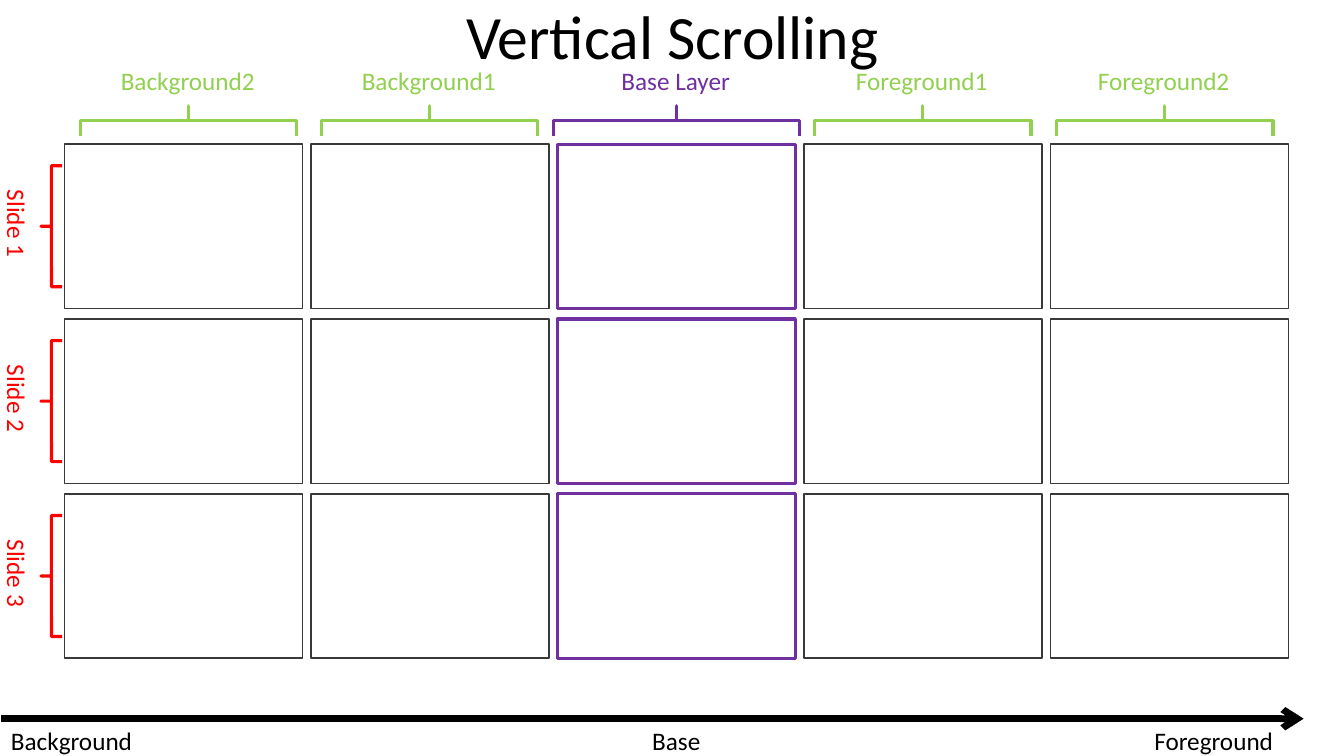
from dataclasses import dataclass

from lxml import etree
from pptx import Presentation
from pptx.dml.color import RGBColor
from pptx.enum import shapes, text
from pptx.oxml.ns import qn
from pptx.util import Inches, Pt

FONT = "Calibri"
BLACK, GREY, GREEN, PURPLE, RED = "000000", "3B3838", "92D050", "7030A0", "FF0000"

# Grid measures in inches
GRID_LEFT, GRID_TOP = 0.64, 1.43
CELL_WIDTH, CELL_HEIGHT = 2.36, 1.63
COLUMN_PITCH, ROW_PITCH = 2.445, 1.735
LABEL_HEIGHT = 0.4
ROW_COUNT = 3


@dataclass
class Layer:
    name: str
    label_center: float
    label_width: float
    brace_length: float = 2.15
    color: str = GREEN
    cell_color: str = GREY
    cell_line: float = 1


@dataclass
class AxisLabel:
    name: str
    left: float
    width: float


LAYERS = [
    Layer("Background2", 1.87, 1.54),
    Layer("Background1", 4.26, 1.54),
    Layer("Base Layer", 6.71, 1.29, 2.44, PURPLE, PURPLE, 2.25),
    Layer("Foreground1", 9.15, 1.52),
    Layer("Foreground2", 11.55, 1.52),
]
AXIS_LABELS = [
    AxisLabel("Background", 0.01, 1.42),
    AxisLabel("Base", 6.37, 0.68),
    AxisLabel("Foreground", 11.35, 1.39),
]

presentation = Presentation()
presentation.slide_width = Inches(13.33)
presentation.slide_height = Inches(7.5)
slide = presentation.slides.add_slide(presentation.slide_layouts[5])


def rgb(color: str) -> RGBColor:
    return RGBColor.from_string(color)


def add_run(paragraph, words: str, size: float, color: str) -> None:
    run = paragraph.add_run()
    run.text = words
    run.font.name = FONT
    run.font.size = Pt(size)
    run.font.color.rgb = rgb(color)


def add_outline(kind, left: float, top: float, width: float, height: float,
                color: str, line_width: float):
    shape = slide.shapes.add_shape(
        kind, Inches(left), Inches(top), Inches(width), Inches(height))
    shape.shadow.inherit = False
    shape.fill.background()
    shape.line.color.rgb = rgb(color)
    shape.line.width = Pt(line_width)
    return shape


def add_brace(center_x: float, center_y: float, depth: float, length: float,
              color: str, rotation: float = 0) -> None:
    brace = add_outline(shapes.MSO_SHAPE.LEFT_BRACE, center_x - depth / 2,
                        center_y - length / 2, depth, length, color, 2.25)
    brace.adjustments[0] = 0
    brace.adjustments[1] = 0.5
    brace.rotation = rotation


def add_label(words: str, left: float, top: float, width: float, color: str,
              rotation: float = 0) -> None:
    label = slide.shapes.add_textbox(
        Inches(left), Inches(top), Inches(width), Inches(LABEL_HEIGHT))
    label.rotation = rotation
    label.text_frame.word_wrap = rotation != 0
    add_run(label.text_frame.paragraphs[0], words, 18, color)


# Title
title = slide.shapes.title
title.left, title.top = Inches(0.92), Inches(-0.04)
title.width, title.height = Inches(11.5), Inches(0.87)
title.text_frame.vertical_anchor = text.MSO_ANCHOR.MIDDLE
heading = title.text_frame.paragraphs[0]
heading.alignment = text.PP_ALIGN.CENTER
heading.line_spacing = 0.9
add_run(heading, "Vertical Scrolling", 44, BLACK)

# Depth axis with arrowhead
axis = slide.shapes.add_connector(
    shapes.MSO_CONNECTOR.STRAIGHT,
    Inches(0.01), Inches(7.13), Inches(12.93), Inches(7.13))
axis.line.color.rgb = rgb(BLACK)
axis.line.width = Pt(4.75)
etree.SubElement(axis.line._get_or_add_ln(), qn("a:tailEnd"), type="arrow")
etree.SubElement(axis._element.spPr, qn("a:effectLst"))
for axis_label in AXIS_LABELS:
    add_label(axis_label.name, axis_label.left, 7.15, axis_label.width, BLACK)

# Layer columns: cells, brace and label
for column, layer in enumerate(LAYERS):
    for row in range(ROW_COUNT):
        add_outline(shapes.MSO_SHAPE.RECTANGLE,
                    GRID_LEFT + column * COLUMN_PITCH, GRID_TOP + row * ROW_PITCH,
                    CELL_WIDTH, CELL_HEIGHT, layer.cell_color, layer.cell_line)
    add_brace(layer.label_center, 1.2, 0.3, layer.brace_length, layer.color, 90)
    add_label(layer.name, layer.label_center - layer.label_width / 2, 0.6,
              layer.label_width, layer.color)

# Slide rows: brace and rotated label
for row in range(ROW_COUNT):
    center_y = GRID_TOP + CELL_HEIGHT / 2 + row * ROW_PITCH
    add_brace(0.51, center_y, 0.21, 1.2, RED)
    add_label(f"Slide {row + 1}", -0.29, center_y - LABEL_HEIGHT / 2, 0.92, RED, 90)

presentation.save("out.pptx")
